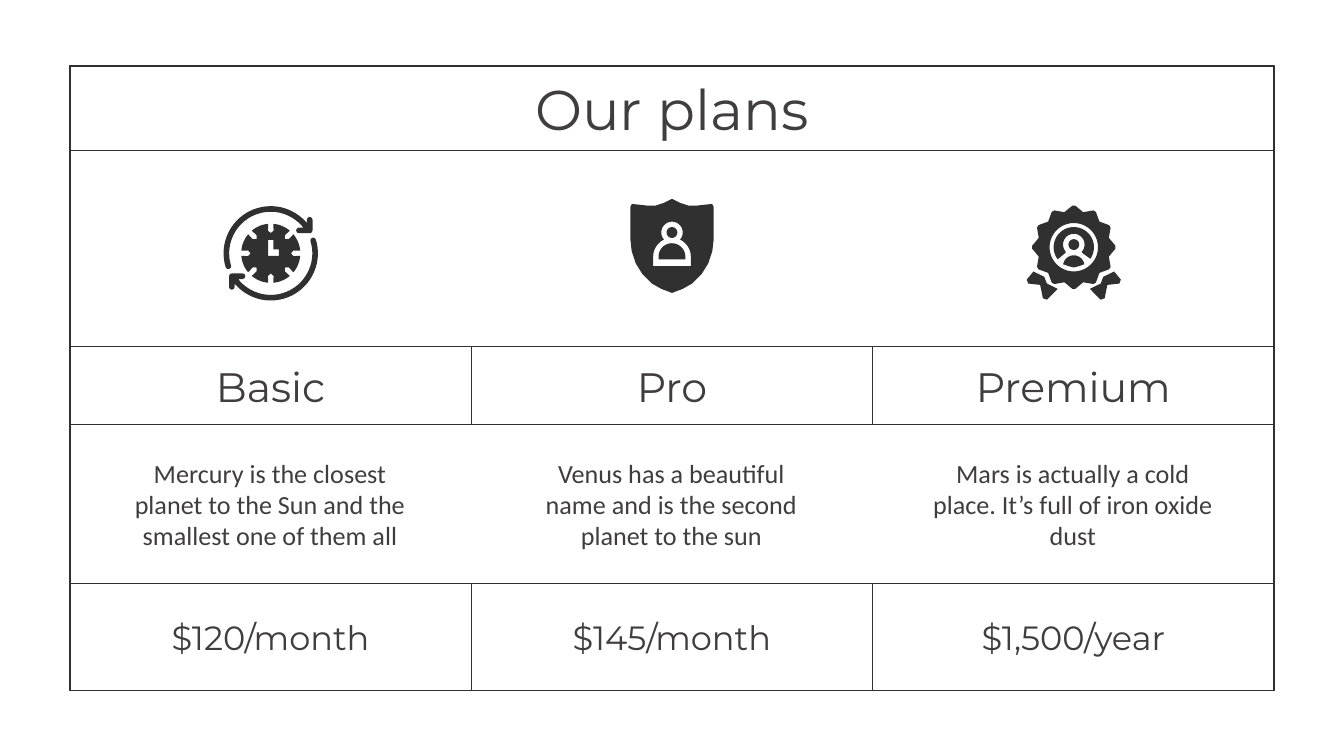
from math import cos, radians, sin

from lxml import etree
from pptx import Presentation
from pptx.dml.color import RGBColor
from pptx.enum.shapes import MSO_SHAPE
from pptx.enum.text import MSO_ANCHOR, PP_ALIGN
from pptx.oxml.ns import qn
from pptx.util import Inches, Pt

RECT, MIDDLE, CENTER = MSO_SHAPE.RECTANGLE, MSO_ANCHOR.MIDDLE, PP_ALIGN.CENTER
INK, TEXT = "313030", "3F3D3D"
LEFT, TOP, WIDTH, HEIGHT = 0.52, 0.49, 8.96, 4.65
COL = WIDTH / 3

prs = Presentation()
prs.slide_width, prs.slide_height = Inches(10), Inches(5.625)
s = prs.slides.add_slide(prs.slide_layouts[6])


def add_text(text, x, y, w, h, size=18, font="Montserrat", border=True):
    box = Inches(x), Inches(y), Inches(w), Inches(h)
    if border:
        sp = s.shapes.add_shape(RECT, *box)
        sp.shadow.inherit = False
        sp.fill.background()
        sp.line.color.rgb = RGBColor.from_string(INK)
        sp.line.width = Pt(0.75)
    else:
        sp = s.shapes.add_textbox(*box)
    tf = sp.text_frame
    tf.word_wrap = True
    tf.vertical_anchor = MIDDLE
    tf.margin_left = tf.margin_right = tf.margin_top = tf.margin_bottom = Inches(0.1)
    p = tf.paragraphs[0]
    p.alignment = CENTER
    if text:
        r = p.add_run()
        r.text = text
        r.font.size = Pt(size)
        r.font.name = font
        r.font.color.rgb = RGBColor.from_string(TEXT)


def polar(radius, angles, dy=0):
    return [(radius * cos(radians(a)), dy + radius * sin(radians(a))) for a in angles]


def add_path(cx, cy, *contours, closed=True):
    fb = None
    for contour in contours:
        pts = [(Inches(cx + x), Inches(cy + y)) for x, y in contour]
        if fb is None:
            fb = s.shapes.build_freeform(*pts[0])
        else:
            fb.move_to(*pts[0])
        fb.add_line_segments(pts[1:], close=closed)
    sp = fb.convert_to_shape()
    sp.shadow.inherit = False
    if closed:
        sp.fill.solid()
        sp.fill.fore_color.rgb = RGBColor.from_string(INK)
        sp.line.fill.background()
    else:
        sp.fill.background()
        sp.line.color.rgb = RGBColor.from_string(INK)
        sp.line.width = Pt(3)
        ln = sp.element.spPr.find(qn("a:ln"))
        ln.set("cap", "rnd")
        etree.SubElement(ln, qn("a:round"))


add_text("", LEFT, TOP, WIDTH, HEIGHT)
add_text("Our plans", LEFT, TOP, WIDTH, 0.63, size=30)

plans = [
    ("Basic", "Mercury is the closest planet to the Sun and the smallest one of them all", "$120/month"),
    ("Pro", "Venus has a beautiful name and is the second planet to the sun", "$145/month"),
    ("Premium", "Mars is actually a cold place. It’s full of iron oxide dust", "$1,500/year"),
]
for i, (name, description, price) in enumerate(plans):
    x = LEFT + i * COL
    add_text(name, x, 2.58, COL, 0.58, size=22)
    add_text(description, x + 0.31, 3.16, 2.36, 1.18, size=14, font="Calibri", border=False)
    add_text(price, x, 4.34, COL, 0.8)

cx, cy = 5, 1.91
edge = [(0, -0.43), (0.06, -0.4), (0.12, -0.38), (0.19, -0.38), (0.28, -0.39), (0.3, -0.39),
        (0.31, -0.37), (0.31, -0.13), (0.3, -0.04), (0.27, 0.05), (0.22, 0.13),
        (0.15, 0.2), (0.08, 0.24), (0, 0.27)]
shield = edge + [(-x, y) for x, y in reversed(edge[1:-1])]
person = (polar(0.08, range(140, 401, 10), -0.18) + polar(0.14, range(295, 361, 5))
          + [(0.14, 0.07), (-0.14, 0.07)] + polar(0.14, range(180, 246, 5)))
add_path(cx, cy, polar(0.1, range(180, 361, 10)) + [(0.1, 0.02), (-0.1, 0.02)])
add_path(cx, cy, polar(0.04, range(0, 360, 10), -0.18))
add_path(cx, cy, shield, person)

cx, cy = 7.99, 1.84
seal = [pt for a in range(0, 360, 30)
        for pt in polar(0.31, (a - 2, a + 2)) + polar(0.27, (a + 15,))]
disc = (polar(0.15, range(143, 398, 6)) + [(0.06, 0.04)]
        + polar(0.08, range(400, 139, -10), -0.02) + [(-0.06, 0.04)])
bust = polar(0.08, range(190, 351, 10), 0.14) + [(0.04, 0.14), (0, 0.15), (-0.04, 0.14)]
ribbon = [(0.3, 0.18), (0.35, 0.24), (0.34, 0.27), (0.25, 0.28), (0.23, 0.38), (0.2, 0.39),
          (0.12, 0.31), (0.2, 0.27), (0.22, 0.22)]
add_path(cx, cy, disc)
add_path(cx, cy, polar(0.04, range(0, 360, 10), -0.02))
add_path(cx, cy, seal, polar(0.18, range(0, 360, 5)))
add_path(cx, cy, bust)
for side in (1, -1):
    add_path(cx, cy, [(side * x, y) for x, y in ribbon])

cx, cy = 2.015, 1.885
arrow = polar(0.33, range(163, 324, 5)) + [(0.29, -0.17), (0.29, -0.25), (0.29, -0.17), (0.21, -0.17)]
for side in (-1, 1):
    add_path(cx, cy, [(side * x, side * y) for x, y in arrow], closed=False)
dial = [pt for a in range(0, 360, 45)
        for pt in polar(0.17, (a - 7,)) + polar(0.15, (a,)) + polar(0.17, (a + 7,))
        + polar(0.22, range(a + 5, a + 41, 5))]
hands = [(-0.02, -0.1), (0.02, -0.1), (0.02, -0.03), (0.06, -0.03), (0.06, 0.02), (-0.02, 0.02)]
add_path(cx, cy, dial, hands)

prs.save("out.pptx")
